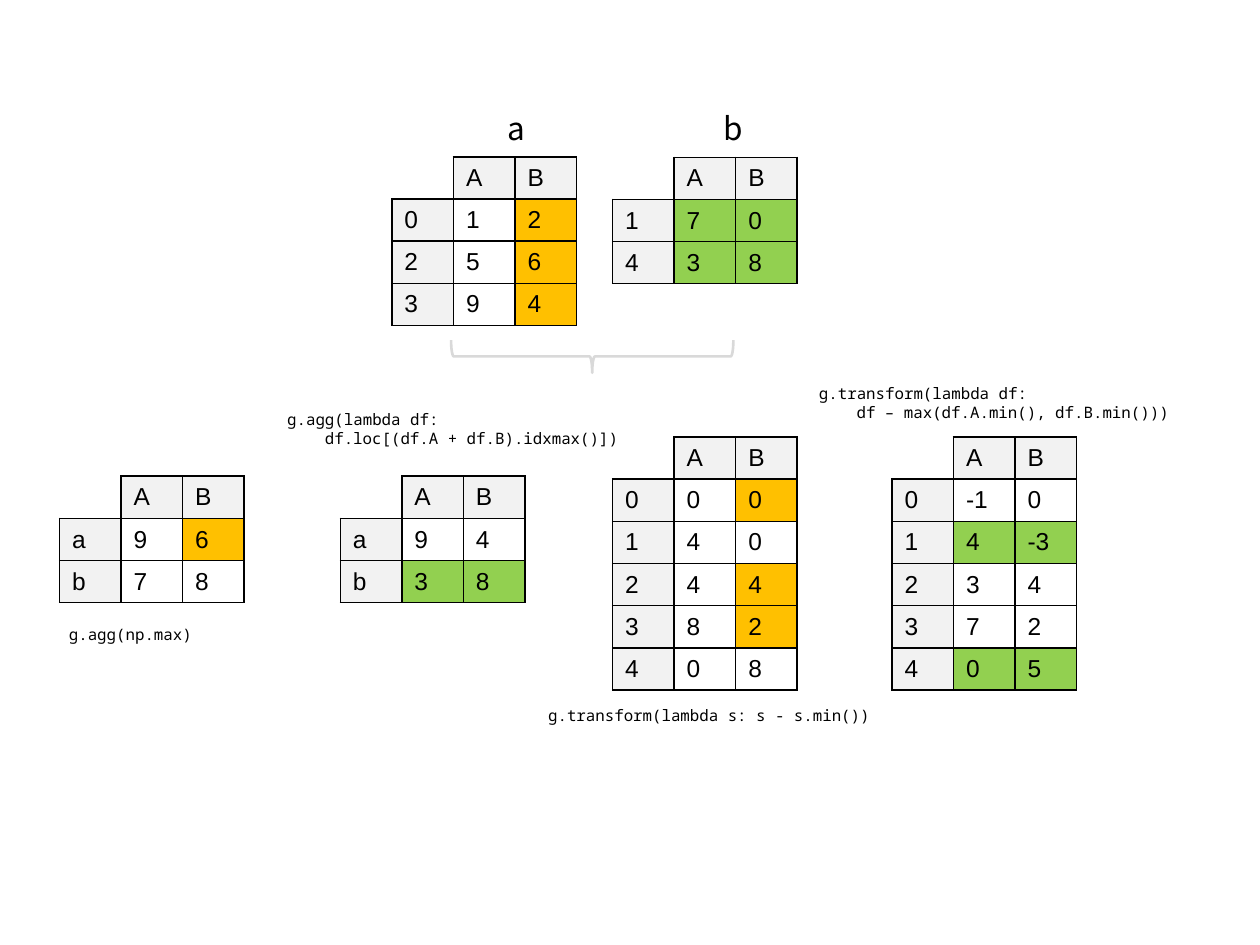
from lxml import etree
from pptx import Presentation
from pptx.dml.color import RGBColor
from pptx.enum.shapes import MSO_SHAPE
from pptx.enum.text import MSO_ANCHOR, MSO_AUTO_SIZE
from pptx.oxml.ns import qn
from pptx.util import Cm, Pt

MIDDLE = MSO_ANCHOR.MIDDLE
FIT_SHAPE = MSO_AUTO_SIZE.SHAPE_TO_FIT_TEXT
LEFT_BRACE = MSO_SHAPE.LEFT_BRACE

COLORS = {
    "text": "000000",
    "border": "000000",
    "label": "F2F2F2",
    "orange": "FFC000",
    "green": "92D050",
    "brace": "D9D9D9",
}
COL, ROW = 1.24, 0.85  # cell size in cm

prs = Presentation()
prs.slide_width, prs.slide_height = Cm(25.4), Cm(19.05)
slide = prs.slides.add_slide(prs.slide_layouts[6])


def style_text(paragraph, font, size):
    for run in paragraph.runs:
        run.font.name = font
        run.font.size = Pt(size)
        run.font.color.rgb = RGBColor.from_string(COLORS["text"])


def add_grid(left, top, rows, fills):
    """Draw rows of text; fills maps (row, column) to a colour name."""
    grid = slide.shapes.add_table(
        len(rows), len(rows[0]), Cm(left), Cm(top),
        Cm(COL * len(rows[0])), Cm(ROW * len(rows))).table
    grid.first_row = grid.horz_banding = False
    for column in grid.columns:
        column.width = Cm(COL)
    for r, row in enumerate(rows):
        grid.rows[r].height = Cm(ROW)
        for c, value in enumerate(row):
            cell = grid.cell(r, c)
            cell.text_frame.text = value
            cell.vertical_anchor = MIDDLE
            style_text(cell.text_frame.paragraphs[0], "Arial", 14)
            # Borders go before the fill in the cell properties
            props = cell._tc.get_or_add_tcPr()
            for side in ("a:lnL", "a:lnR", "a:lnT", "a:lnB"):
                line = etree.SubElement(props, qn(side), w=str(Pt(1)))
                solid = etree.SubElement(line, qn("a:solidFill"))
                etree.SubElement(solid, qn("a:srgbClr"), val=COLORS["border"])
            if (r, c) in fills:
                cell.fill.solid()
                cell.fill.fore_color.rgb = RGBColor.from_string(COLORS[fills[r, c]])
            else:
                cell.fill.background()


# Data frames: left, top, index, values, highlight colour, highlighted cells
frames = [
    (9.14, 3.16, "023", ["1 2", "5 6", "9 4"], "orange", [(1, 1), (2, 1), (3, 1)]),
    (13.59, 3.17, "14", ["7 0", "3 8"], "green", [(1, 0), (1, 1), (2, 0), (2, 1)]),
    (2.44, 9.6, "ab", ["9 6", "7 8"], "orange", [(1, 1)]),
    (8.1, 9.6, "ab", ["9 4", "3 8"], "green", [(2, 0), (2, 1)]),
    (13.59, 8.81, "01234", ["0 0", "4 0", "4 4", "8 2", "0 8"],
     "orange", [(1, 1), (3, 1), (4, 1)]),
    (19.22, 8.81, "01234", ["-1 0", "4 -3", "3 4", "7 2", "0 5"],
     "green", [(2, 0), (2, 1), (5, 0), (5, 1)]),
]
for left, top, index, values, color, highlighted in frames:
    fills = {(0, 0): "label", (0, 1): "label"}
    fills.update({position: color for position in highlighted})
    add_grid(left, top, [["A", "B"]] + [value.split() for value in values], fills)
    add_grid(left - COL, top + ROW, [[key] for key in index],
             {(r, 0): "label" for r in range(len(index))})

# Group names and code captions: left, top, width, height, font, size, lines
SANS, MONO = "Noto Sans CJK SC", "Noto Sans Mono"
captions = [
    (9.98, 2.07, 0.87, 1.02, SANS, 18, ["a"]),
    (14.33, 2.07, 0.91, 1.02, SANS, 18, ["b"]),
    (1.14, 12.47, 3.0, 0.64, MONO, 9, ["g.agg(np.max)"]),
    (5.54, 8.13, 7.21, 1.02, MONO, 9,
     ["g.agg(lambda df:", "df.loc[(df.A + df.B).idxmax()])"]),
    (10.8, 14.1, 7.01, 0.64, MONO, 9, ["g.transform(lambda s: s - s.min())"]),
    (16.26, 7.62, 7.59, 1.02, MONO, 9,
     ["g.transform(lambda df:", "df – max(df.A.min(), df.B.min()))"]),
]
for left, top, width, height, font, size, lines in captions:
    frame = slide.shapes.add_textbox(Cm(left), Cm(top), Cm(width), Cm(height)).text_frame
    frame.word_wrap = False
    frame.auto_size = FIT_SHAPE
    frame.text = "\n".join(lines)
    for number, paragraph in enumerate(frame.paragraphs):
        style_text(paragraph, font, size)
        if number:  # indent continuation lines by four characters
            paragraph._p.get_or_add_pPr().set("marL", str(Cm(0.76)))

# Brace joining the two groups
brace = slide.shapes.add_shape(LEFT_BRACE, Cm(11.61), Cm(4.34), Cm(0.66), Cm(5.69))
brace.rotation = 270
brace.shadow.inherit = False
brace.fill.background()
brace.line.color.rgb = RGBColor.from_string(COLORS["brace"])
brace.line.width = Pt(1.5)

prs.save("out.pptx")
